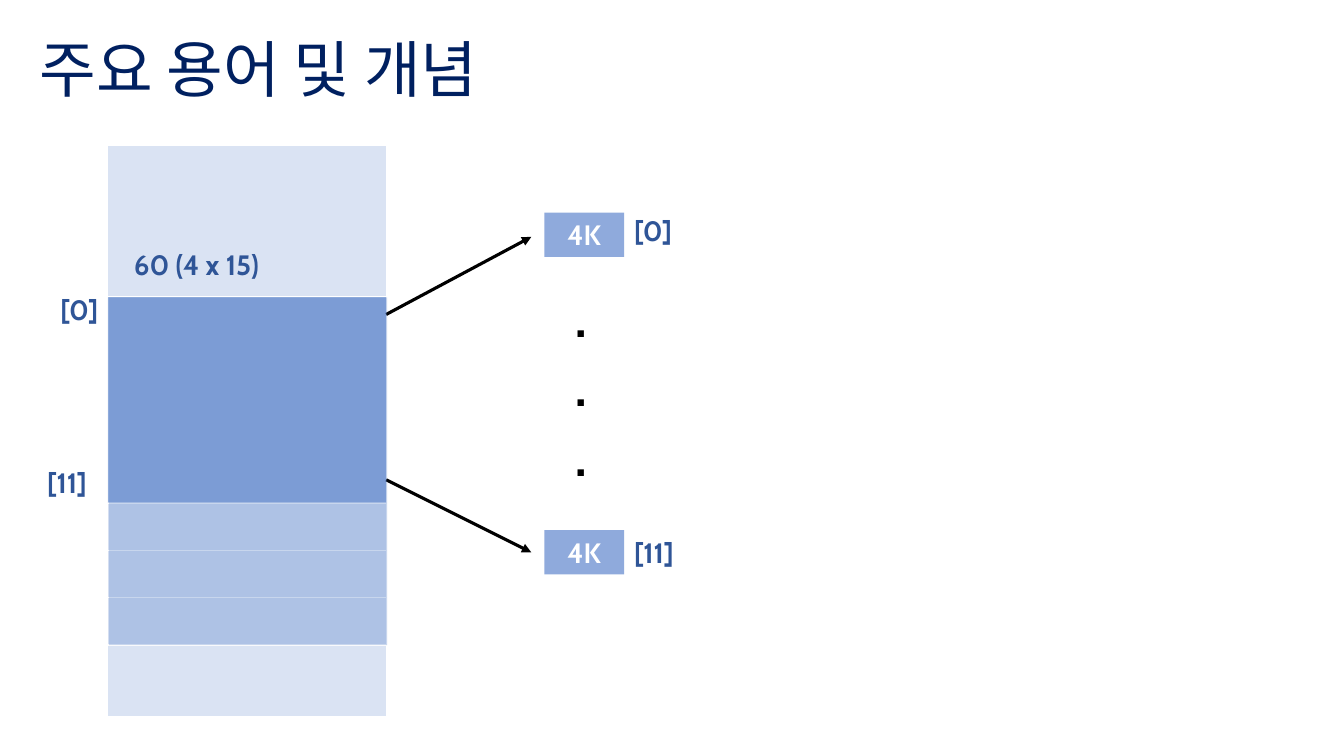
import dataclasses

import lxml.etree
import pptx
import pptx.dml.color
import pptx.enum.shapes
import pptx.enum.text
import pptx.oxml.ns
import pptx.util


@dataclasses.dataclass(frozen=True)
class Theme:
    font: str = "Cabin"
    dot_font: str = "Arial"
    title_size: int = 44
    label_size: int = 20
    dot_size: int = 32
    dot_gap: float = 11.5
    line_width: float = 2.25
    title: str = "002060"
    label: str = "2F5597"
    ink: str = "000000"
    paper: str = "FFFFFF"
    block: str = "8FAADC"
    pale: str = "DAE3F3"
    strong: str = "B4C7E7"
    veil: str = "4472C4"
    veil_alpha: int = 29


THEME = Theme()
COLUMNS, ROWS = 1333, 750
CELL = pptx.util.Inches(0.01)
LABEL_HEIGHT = 44


def rgb(color):
    return pptx.dml.color.RGBColor.from_string(color)


def lengths(*cells):
    return [round(cell * CELL) for cell in cells]


def inside(box, left, top, width, height):
    return box[0] + left, box[1] + top, width, height


def write(frame, text, size=THEME.label_size, color=THEME.label, font=THEME.font,
          bold=True, align="LEFT", anchor="TOP", gap=0, line_spacing=None):
    frame.word_wrap = True
    frame.auto_size = pptx.enum.text.MSO_AUTO_SIZE.NONE
    frame.vertical_anchor = getattr(pptx.enum.text.MSO_ANCHOR, anchor)
    frame.text = text
    for index, paragraph in enumerate(frame.paragraphs):
        paragraph.alignment = getattr(pptx.enum.text.PP_ALIGN, align)
        paragraph.space_before = pptx.util.Pt(gap if index else 0)
        paragraph.line_spacing = line_spacing
        for run in paragraph.runs:
            run.font.name = font
            run.font.size = pptx.util.Pt(size)
            run.font.bold = bold
            run.font.color.rgb = rgb(color)


def add_label(slide, box, text, **style):
    write(slide.shapes.add_textbox(*lengths(*box)).text_frame, text, **style)


def add_rectangle(slide, box, color, alpha=None):
    shape = slide.shapes.add_shape(
        pptx.enum.shapes.MSO_SHAPE.RECTANGLE, *lengths(*box))
    shape.shadow.inherit = False
    shape.line.fill.background()
    shape.fill.solid()
    shape.fill.fore_color.rgb = rgb(color)
    if alpha is not None:
        tint = shape.fill._xPr.find(".//" + pptx.oxml.ns.qn("a:srgbClr"))
        lxml.etree.SubElement(
            tint, pptx.oxml.ns.qn("a:alpha"), val=str(alpha * 1000))
    return shape


def add_arrow(slide, start, end):
    arrow = slide.shapes.add_connector(
        pptx.enum.shapes.MSO_CONNECTOR.STRAIGHT, *lengths(*start, *end))
    arrow.line.color.rgb = rgb(THEME.ink)
    arrow.line.width = pptx.util.Pt(THEME.line_width)
    lxml.etree.SubElement(
        arrow.line._get_or_add_ln(), pptx.oxml.ns.qn("a:tailEnd"), type="triangle")
    properties = arrow._element.spPr
    lxml.etree.SubElement(properties, pptx.oxml.ns.qn("a:effectLst"))


def add_title(slide, box, text):
    title = slide.shapes.title
    title.left, title.top, title.width, title.height = lengths(*box)
    write(title.text_frame, text, size=THEME.title_size, color=THEME.title,
          bold=False, anchor="MIDDLE", line_spacing=0.9)


def add_memory_table(slide, box):
    heights = [150, 205, 47, 47, 47, 71]
    frame = slide.shapes.add_table(len(heights), 1, *lengths(*box))
    table = frame.table
    table.first_row = table.horz_banding = False
    for index, height in enumerate(heights):
        table.rows[index].height = round(height * CELL)
        cell = table.cell(index, 0)
        cell.fill.solid()
        cell.fill.fore_color.rgb = rgb(THEME.strong if index == 1 else THEME.pale)


def add_memory_labels(slide, box):
    add_label(slide, inside(box, -57, 141, 70, LABEL_HEIGHT), "[0]")
    add_label(slide, inside(box, -70, 313, 87, LABEL_HEIGHT), "[11]")
    add_label(slide, inside(box, 16, 97, 236, LABEL_HEIGHT), "60 (4 x 15)")


def add_memory_veils(slide, box):
    for left, height in ((1, 345), (0, 204)):
        add_rectangle(slide, inside(box, left, 151, box[2], height),
                      THEME.veil, alpha=THEME.veil_alpha)


def add_block_list(slide, box):
    width = 79
    last = box[3] - LABEL_HEIGHT
    for top, label_top, name in ((0, -4, "[0]"), (last, last, "[11]")):
        block = add_rectangle(
            slide, inside(box, 0, top, width, LABEL_HEIGHT), THEME.block)
        write(block.text_frame, "4K", color=THEME.paper, align="CENTER")
        add_label(slide, inside(box, width, label_top, 87, LABEL_HEIGHT), name)
    add_label(slide, inside(box, 20, 74, 47, 204), ".\n.\n.", size=THEME.dot_size,
              color=THEME.ink, font=THEME.dot_font, gap=THEME.dot_gap)


def add_arrows(slide, memory, blocks):
    edge, tip = memory[0] + memory[2], blocks[0] - 13
    for start, end in ((168, 24), (332, 337)):
        add_arrow(slide, (edge, memory[1] + start), (tip, blocks[1] + end))


def main():
    presentation = pptx.Presentation()
    presentation.slide_width, presentation.slide_height = lengths(COLUMNS, ROWS)
    slide = presentation.slides.add_slide(presentation.slide_layouts[5])
    memory = (107, 144, 276, 567)
    blocks = (540, 211, 166, 359)
    add_title(slide, (29, 22, 1142, 99), "주요 용어 및 개념")
    add_memory_table(slide, memory)
    add_arrows(slide, memory, blocks)
    add_block_list(slide, blocks)
    add_memory_labels(slide, memory)
    add_memory_veils(slide, memory)
    presentation.save("out.pptx")


if __name__ == "__main__":
    main()
